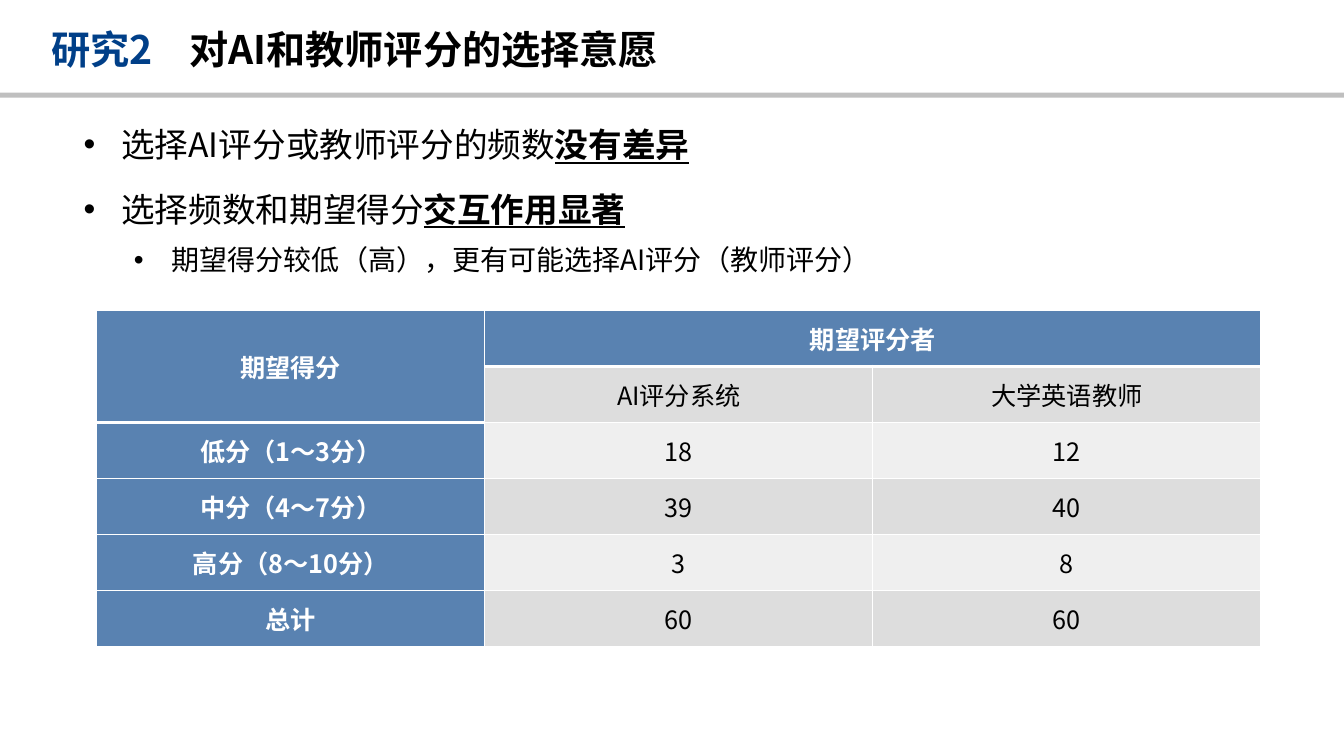
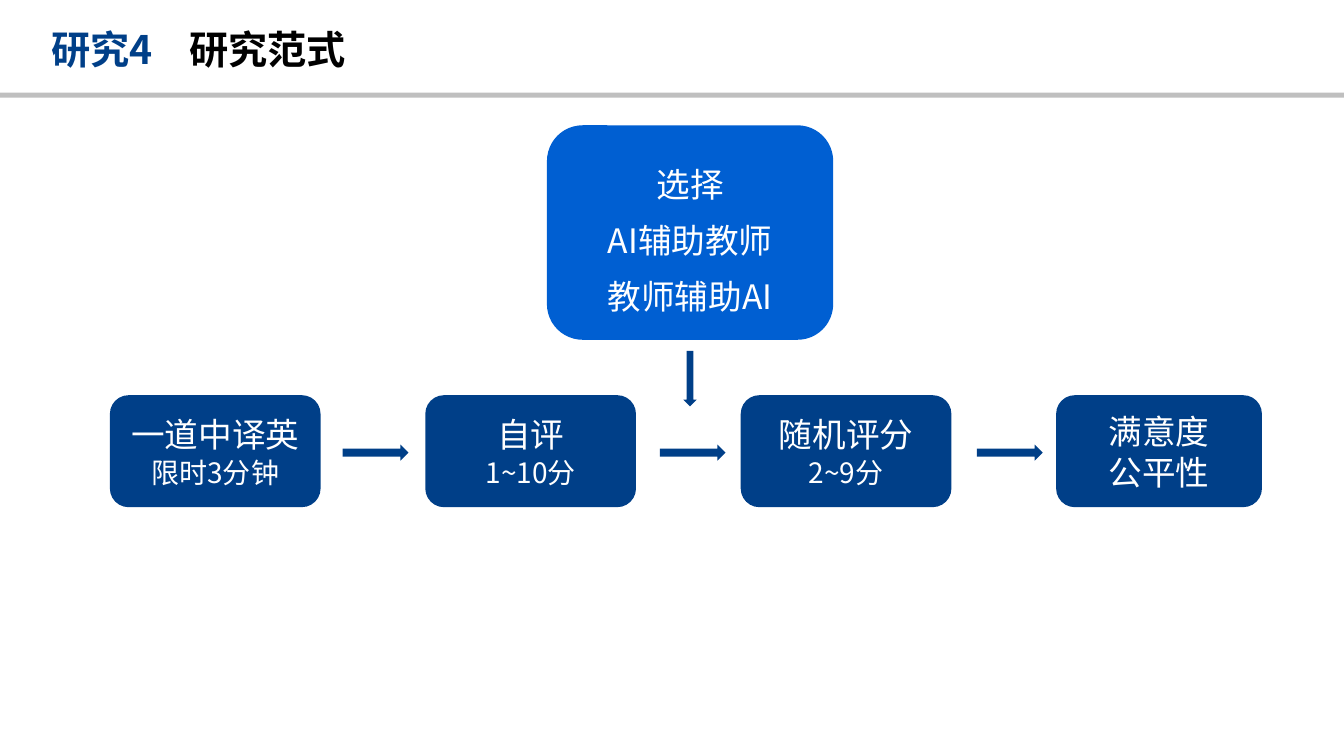
from dataclasses import dataclass

from lxml import etree
from pptx import Presentation
from pptx.dml.color import RGBColor
from pptx.enum.shapes import MSO_SHAPE
from pptx.enum.text import MSO_ANCHOR, MSO_AUTO_SIZE, PP_ALIGN
from pptx.oxml.ns import qn
from pptx.util import Pt

RECT, ROUNDED = MSO_SHAPE.RECTANGLE, MSO_SHAPE.ROUNDED_RECTANGLE
RIGHT_ARROW, DOWN_ARROW = MSO_SHAPE.RIGHT_ARROW, MSO_SHAPE.DOWN_ARROW
LEFT, CENTER = PP_ALIGN.LEFT, PP_ALIGN.CENTER
MIDDLE, NO_AUTOFIT = MSO_ANCHOR.MIDDLE, MSO_AUTO_SIZE.NONE


@dataclass(frozen=True)
class Theme:
    font: str = "Noto Sans CJK SC"
    navy: str = "003F88"
    blue: str = "005FD2"
    rule: str = "BFBFBF"
    row_dark: str = "CCCCCC"
    row_light: str = "E7E7E7"
    black: str = "000000"
    white: str = "FFFFFF"
    title: int = 28
    body: int = 24
    detail: int = 20
    table: int = 18
    cell_alpha: int = 65


THEME = Theme()

# Content: choice between AI and teacher scoring
CHOICE_TITLE = ("研究2", "对AI和教师评分的选择意愿")
FINDINGS = [  # level, plain text, emphasised text, space after
    (0, "选择AI评分或教师评分的频数", "没有差异", 12),
    (0, "选择频数和期望得分", "交互作用显著", 0),
    (1, "期望得分较低（高），更有可能选择AI评分（教师评分）", "", 0),
]
SCORE_ROWS = [
    ("期望得分", "期望评分者", ""),
    ("", "AI评分系统", "大学英语教师"),
    ("低分（1～3分）", "18", "12"),
    ("中分（4～7分）", "39", "40"),
    ("高分（8～10分）", "3", "8"),
    ("总计", "60", "60"),
]
HEAVY_BELOW = {(0, 0), (0, 1), (0, 2), (1, 0)}

# Content: research paradigm
PARADIGM_TITLE = ("研究4", "研究范式")
STEPS = [  # width, lines with their sizes
    (150.5, [("一道中译英", THEME.body), ("限时3分钟", THEME.detail)]),
    (150.5, [("自评", THEME.body), ("1~10分", THEME.detail)]),
    (150.5, [("随机评分", THEME.body), ("2~9分", THEME.detail)]),
    (147, [("满意度", THEME.body), ("公平性", THEME.body)]),
]
CHOICES = [(text, THEME.body) for text in ("选择", "AI辅助教师", "教师辅助AI")]

# Geometry in points
SLIDE_SIZE = (960, 540)
BAND = (0, 66.2, 960, 3.6)
TITLE_BOX = (29.5, 24.5, 740, 24.5)
TITLE_TAB = 98.6
FINDINGS_BOX = (52.6, 79.9, 694.8, 117.4)
TABLE_LEFT, TABLE_TOP, COLUMN_WIDTH, ROW_HEIGHT = 69.1, 221.8, 277.2, 40
STEP_LEFT, STEP_TOP, STEP_PITCH, STEP_HEIGHT = 78.5, 282.3, 225.3, 80
ARROW_LEFT, ARROW_PITCH, ARROW_WIDTH, ARROW_HEIGHT = 244.8, 226.5, 47, 11.6
CHOICE_BOX = (390.7, 89.5, 204.5, 153.2)
CHOICE_ARROW = (488.2, 250.6, 9.4, 39.6)


def points(box):
    return [Pt(value) for value in box]


def set_font(font, size, color, bold=False):
    font.size, font.bold = Pt(size), bold
    font.color.rgb = RGBColor.from_string(color)
    font.name = THEME.font
    etree.SubElement(font._rPr, qn("a:ea"), typeface=THEME.font)


def add_block(shapes, preset, box, color):
    block = shapes.add_shape(preset, *points(box))
    block.shadow.inherit = False
    block.fill.solid()
    block.fill.fore_color.rgb = RGBColor.from_string(color)
    block.line.fill.background()
    return block


def add_labelled_block(shapes, box, color, lines, spacing):
    """Rounded block; spacing gives the line pitch for a type size."""
    frame = add_block(shapes, ROUNDED, box, color).text_frame
    frame.word_wrap = True
    frame.vertical_anchor = MIDDLE
    for index, (text, size) in enumerate(lines):
        line = frame.add_paragraph() if index else frame.paragraphs[0]
        line.text = text
        line.alignment = CENTER
        line.line_spacing = Pt(spacing(size))
        set_font(line.font, size, THEME.white)


def add_titled_slide(deck, title):
    slide = deck.slides.add_slide(deck.slide_layouts[5])
    heading = slide.shapes.title
    heading.left, heading.top, heading.width, heading.height = points(TITLE_BOX)
    frame = heading.text_frame
    frame.auto_size, frame.word_wrap = NO_AUTOFIT, True
    frame.vertical_anchor = MIDDLE
    line = frame.paragraphs[0]
    line.alignment, line.line_spacing = LEFT, 0.9
    tabs = etree.SubElement(line._p.get_or_add_pPr(), qn("a:tabLst"))
    etree.SubElement(tabs, qn("a:tab"), pos=str(Pt(TITLE_TAB)), algn="l")
    study, topic = title
    for text, color in ((study + "\t", THEME.navy), (topic, THEME.black)):
        run = line.add_run()
        run.text = text
        set_font(run.font, THEME.title, color, bold=True)
    return slide


def add_findings(slide):
    frame = slide.shapes.add_textbox(*points(FINDINGS_BOX)).text_frame
    frame.word_wrap = True
    for index, (level, plain, emphasis, after) in enumerate(FINDINGS):
        line = frame.add_paragraph() if index else frame.paragraphs[0]
        line.level = level
        line.line_spacing, line.space_after = Pt(34), Pt(after)
        properties = line._p.get_or_add_pPr()
        properties.set("marL", str(Pt(27 + 36 * level)))
        properties.set("indent", str(Pt(-27)))
        etree.SubElement(properties, qn("a:buFont"), typeface="Arial")
        etree.SubElement(properties, qn("a:buChar"), char="•")
        set_font(line.font, THEME.detail if level else THEME.body, THEME.black)
        line.add_run().text = plain
        if emphasis:
            stressed = line.add_run()
            stressed.text = emphasis
            stressed.font.bold = stressed.font.underline = True


def set_borders(cell, row, column):
    widths = {
        "L": 1,
        "R": 1,
        "T": 3 if (row - 1, column) in HEAVY_BELOW else 1,
        "B": 3 if (row, column) in HEAVY_BELOW else 1,
    }
    for side, width in widths.items():
        border = etree.SubElement(cell._tc.get_or_add_tcPr(), qn(f"a:ln{side}"), w=str(Pt(width)))
        fill = etree.SubElement(border, qn("a:solidFill"))
        etree.SubElement(fill, qn("a:srgbClr"), val=THEME.white)


def add_score_table(slide):
    rows, columns = len(SCORE_ROWS), len(SCORE_ROWS[0])
    box = (TABLE_LEFT, TABLE_TOP, COLUMN_WIDTH * columns, ROW_HEIGHT * rows)
    table = slide.shapes.add_table(rows, columns, *points(box)).table
    table.first_row = table.horz_banding = False
    for row, texts in enumerate(SCORE_ROWS):
        for column, text in enumerate(texts):
            cell = table.cell(row, column)
            is_header = row == 0 or column == 0
            band = THEME.row_dark if row % 2 else THEME.row_light
            set_borders(cell, row, column)
            cell.fill.solid()
            cell.fill.fore_color.rgb = RGBColor.from_string(THEME.navy if is_header else band)
            color = cell._tc.tcPr.find(qn("a:solidFill"))[0]
            etree.SubElement(color, qn("a:alpha"), val=str(THEME.cell_alpha * 1000))
            cell.vertical_anchor = MIDDLE
            cell.margin_left = cell.margin_right = Pt(5)
            cell.margin_top = cell.margin_bottom = 0
            if text:
                line = cell.text_frame.paragraphs[0]
                line.text, line.alignment = text, CENTER
                set_font(line.font, THEME.table, THEME.white if is_header else THEME.black, is_header)
    table.cell(0, 0).merge(table.cell(1, 0))
    table.cell(0, 1).merge(table.cell(0, 2))


def add_paradigm(slide):
    shapes = slide.shapes
    # Steps and the arrows between them
    for index, (width, lines) in enumerate(STEPS):
        box = (STEP_LEFT + index * STEP_PITCH, STEP_TOP, width, STEP_HEIGHT)
        add_labelled_block(shapes, box, THEME.navy, lines, lambda size: round(size * 1.22, 1))
    arrow_top = STEP_TOP + (STEP_HEIGHT - ARROW_HEIGHT) / 2 + 1
    for index in range(len(STEPS) - 1):
        box = (ARROW_LEFT + index * ARROW_PITCH, arrow_top, ARROW_WIDTH, ARROW_HEIGHT)
        add_block(shapes, RIGHT_ARROW, box, THEME.navy)
    # Choice feeding into the sequence
    add_labelled_block(shapes, CHOICE_BOX, THEME.blue, CHOICES, lambda size: 40)
    add_block(shapes, DOWN_ARROW, CHOICE_ARROW, THEME.navy)


def main():
    deck = Presentation()
    deck.slide_width, deck.slide_height = points(SLIDE_SIZE)

    choice = add_titled_slide(deck, CHOICE_TITLE)
    # The band under the title belongs to the shared layout
    band = add_block(choice.shapes, RECT, BAND, THEME.rule)
    choice.slide_layout.shapes.element.append(band.element)
    add_findings(choice)
    add_score_table(choice)

    add_paradigm(add_titled_slide(deck, PARADIGM_TITLE))
    deck.save("out.pptx")


if __name__ == "__main__":
    main()
